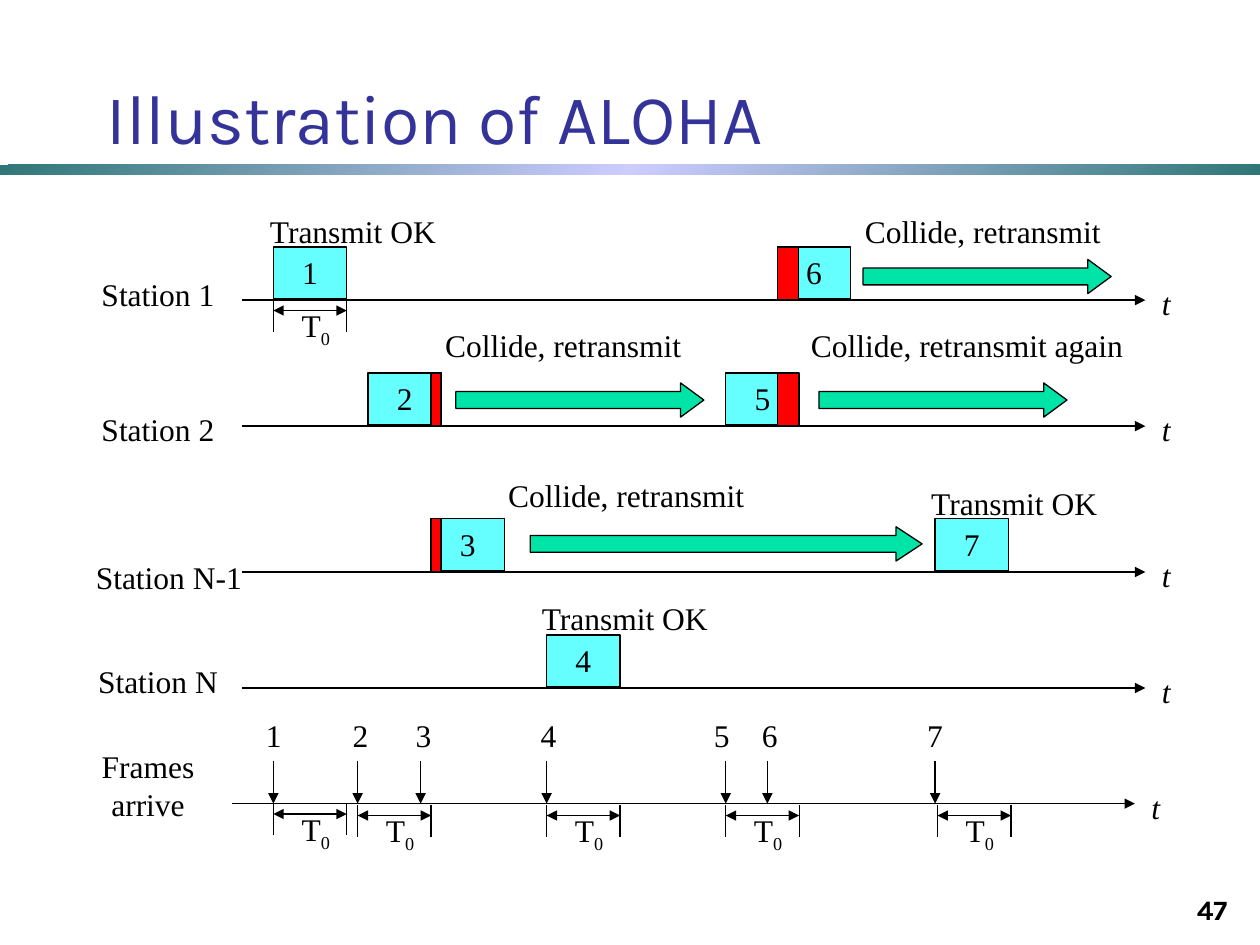
"""Build the slide that illustrates ALOHA stations sending, colliding and retransmitting."""
from copy import deepcopy

from lxml.etree import SubElement
from pptx import Presentation
from pptx.dml.color import RGBColor
from pptx.enum.shapes import MSO_CONNECTOR as Line, MSO_SHAPE as Shape
from pptx.enum.text import MSO_ANCHOR as Anchor, PP_ALIGN as Align
from pptx.oxml.ns import qn
from pptx.util import Cm, Pt

BLACK = RGBColor(0x00, 0x00, 0x00)
INDIGO = RGBColor(0x33, 0x33, 0x99)
TEAL = RGBColor(0x2F, 0x76, 0x76)
LAVENDER = RGBColor(0xCC, 0xCC, 0xFF)
CYAN = RGBColor(0x66, 0xFF, 0xFF)
RED = RGBColor(0xFF, 0x00, 0x00)
GREEN = RGBColor(0x00, 0xE4, 0xA8)

FRAME_TIME, FRAME_HEIGHT, LABEL_HEIGHT = 1.48, 1.05, 1.02
AXIS_LENGTH = 18.21
ARRIVAL_AXIS, ARRIVAL_TOP = 16.2, 15.34

# axis left, axis height, frames (number, left), collisions (left, width)
STATIONS = [
    (4.88, 6.05, [("1", 5.51), ("6", 15.67)], [(15.67, 0.43)]),
    (4.88, 8.59, [("2", 7.42), ("5", 14.63)], [(8.69, 0.2), (15.67, 0.43)]),
    (4.88, 11.53, [("3", 8.69), ("7", 18.85)], [(8.69, 0.2)]),
    (4.88, 13.87, [("4", 11.02)], []),
    (4.67, ARRIVAL_AXIS, [], []),
]
LABELS = [
    ("Station 1", 1.7, 5.41, 2.97),
    ("Station 2", 1.7, 8.15, 2.97),
    ("Station N-1", 1.5, 11.13, 3.81),
    ("Station N", 1.7, 13.23, 2.97),
    ("Frames arrive", 1.5, 14.94, 2.97),
    ("Transmit OK", 5.11, 4.14, 4.01),
    ("Transmit OK", 10.59, 11.96, 4.01),
    ("Transmit OK", 18.44, 9.63, 4.01),
    ("Collide, retransmit", 8.28, 6.45, 6.15),
    ("Collide, retransmit", 9.55, 9.47, 6.15),
    ("Collide, retransmit", 16.74, 4.14, 6.15),
    ("Collide, retransmit again", 15.9, 6.45, 7.19),
]
RETRANSMISSIONS = [
    (9.19, 7.72, 5.0, 0.68),
    (16.51, 7.72, 5.0, 0.68),
    (17.4, 5.23, 5.0, 0.68),
    (10.69, 10.62, 7.9, 0.76),
]
ARRIVALS = [5.51, 7.21, 8.48, 11.02, 14.63, 15.47, 18.85]
ARRIVAL_TABS = [1.75, 3.02, 5.54, 9.03, 10, 13.33]
FRAME_TIMES = [(5.51, 6.05), (5.51, 16.2), (7.21, 16.23), (11.02, 16.23),
               (14.63, 16.23), (18.9, 16.23)]


def write(holder, text, align=Align.CENTER, size=18, font="Times New Roman",
          color=BLACK, anchor=Anchor.TOP):
    frame = holder.text_frame
    frame.word_wrap = True
    frame.vertical_anchor = anchor
    frame.text = text
    paragraph = frame.paragraphs[0]
    paragraph.alignment = align
    for run in paragraph.runs:
        run.font.size = Pt(size)
        run.font.name = font
        run.font.color.rgb = color
    return paragraph


def add_text(slide, text, left, top, width, height=LABEL_HEIGHT, **style):
    box = slide.shapes.add_textbox(Cm(left), Cm(top), Cm(width), Cm(height))
    return write(box, text, **style)


def add_block(slide, kind, color, left, top, width, height):
    block = slide.shapes.add_shape(kind, Cm(left), Cm(top), Cm(width), Cm(height))
    block.shadow.inherit = False
    block.fill.solid()
    block.fill.fore_color.rgb = color
    block.line.color.rgb = BLACK
    block.line.width = Pt(0.75)
    return block


def add_line(slide, x1, y1, x2, y2, *ends):
    line = slide.shapes.add_connector(Line.STRAIGHT, Cm(x1), Cm(y1), Cm(x2), Cm(y2))
    line.line.color.rgb = BLACK
    line.line.width = Pt(0.75)
    outline = line.line._get_or_add_ln()
    for end in ends:
        SubElement(outline, qn(f"a:{end}"), type="triangle")
    SubElement(line._element.spPr, qn("a:effectLst"))


def add_banner(slide):
    rule = slide.shapes.add_shape(Shape.RECTANGLE, 0, Cm(3.32), Cm(25.4), Cm(0.2))
    rule.shadow.inherit = False
    rule.line.fill.background()
    rule.fill.gradient()
    rule.fill.gradient_angle = 315
    first = rule.fill.gradient_stops[0]._gs
    first.addnext(deepcopy(first))
    stops = zip(rule.fill.gradient_stops, (0, 0.5, 1), (TEAL, LAVENDER, TEAL))
    for stop, position, color in stops:
        stop.position = position
        stop.color.rgb = color
    add_text(slide, "Illustration of ALOHA", 1.9, 0.91, 23.5, 2.41, align=Align.LEFT,
             size=40, font="Karla", color=INDIGO, anchor=Anchor.BOTTOM)
    number = add_text(slide, "47", 19.71, 17.53, 5.28, 1.27, align=Align.RIGHT,
                      size=16, font="Karla", anchor=Anchor.BOTTOM)
    number.runs[0].font.bold = True


def add_station(slide, left, axis, frames, collisions):
    end = left + AXIS_LENGTH
    top = axis - FRAME_HEIGHT - 0.02
    add_line(slide, left, axis, end, axis, "tailEnd")
    add_text(slide, "t", end, axis - 0.44, 0.84).runs[0].font.italic = True
    for number, start in frames:
        frame = add_block(slide, Shape.RECTANGLE, CYAN, start, top,
                          FRAME_TIME, FRAME_HEIGHT)
        write(frame, number)
    for start, width in collisions:
        add_block(slide, Shape.RECTANGLE, RED, start, top, width, FRAME_HEIGHT + 0.02)


def add_frame_time(slide, left, top):
    right = left + FRAME_TIME
    for x in (left, right):
        add_line(slide, x, top, x, top + 0.64)
    add_line(slide, left, top + 0.21, right, top + 0.21, "headEnd", "tailEnd")
    label = add_text(slide, "T", left + 0.22, top, 1.27)
    zero = label.add_run()
    zero.text = "0"
    zero.font.size = Pt(18)
    zero.font.name = "Times New Roman"
    zero.font.color.rgb = BLACK
    zero.font._element.set("baseline", "-25000")


def add_arrivals(slide):
    numbers = "\t".join(str(i + 1) for i in range(len(ARRIVALS)))
    row = add_text(slide, numbers, 5.11, 14.3, 16.94, align=Align.LEFT)
    tabs = SubElement(row._p.get_or_add_pPr(), qn("a:tabLst"))
    for stop in ARRIVAL_TABS:
        SubElement(tabs, qn("a:tab"), pos=str(Cm(stop)), algn="l")
    for x in ARRIVALS:
        add_line(slide, x, ARRIVAL_TOP, x, ARRIVAL_AXIS, "tailEnd")


def main():
    deck = Presentation()
    deck.slide_width, deck.slide_height = Cm(25.4), Cm(19.05)
    slide = deck.slides.add_slide(deck.slide_layouts[6])
    add_banner(slide)
    for station in STATIONS:
        add_station(slide, *station)
    for label in LABELS:
        add_text(slide, *label)
    add_arrivals(slide)
    for left, top, width, head in RETRANSMISSIONS:
        arrow = add_block(slide, Shape.RIGHT_ARROW, GREEN, left, top, width, 0.69)
        arrow.adjustments[0] = 0.49
        arrow.adjustments[1] = head
    for left, top in FRAME_TIMES:
        add_frame_time(slide, left, top)
    deck.save("out.pptx")


if __name__ == "__main__":
    main()
